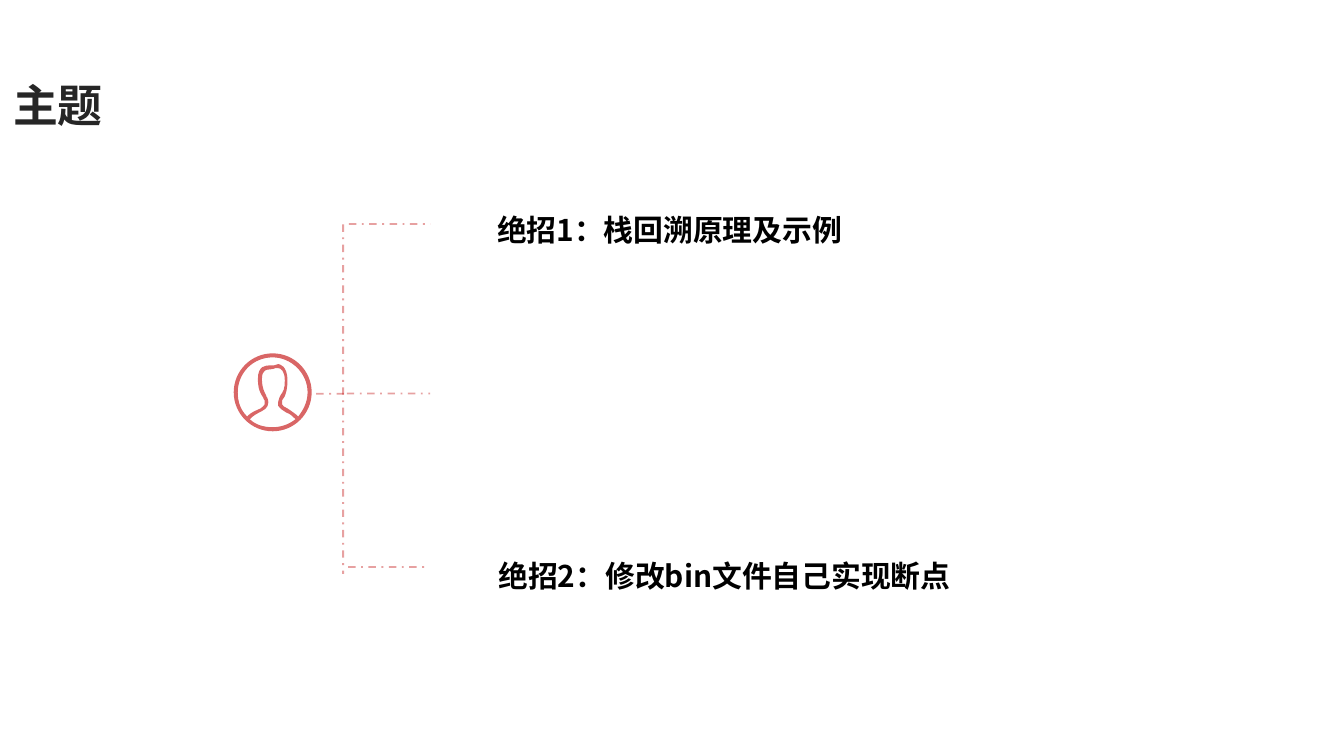
from lxml import etree
from pptx import Presentation
from pptx.dml.color import RGBColor
from pptx.enum.dml import MSO_LINE
from pptx.enum.shapes import MSO_CONNECTOR, MSO_SHAPE
from pptx.enum.text import MSO_AUTO_SIZE
from pptx.oxml.ns import qn
from pptx.util import Pt

STRAIGHT = MSO_CONNECTOR.STRAIGHT
TRIANGLE = MSO_SHAPE.ISOSCELES_TRIANGLE
ROUNDED = MSO_SHAPE.ROUNDED_RECTANGLE
DASH_DOT = MSO_LINE.DASH_DOT
FIT_SHAPE = MSO_AUTO_SIZE.SHAPE_TO_FIT_TEXT
FONT = "Noto Sans CJK SC"
RED, WHITE, BLACK, GREY = "C00000", "FFFFFF", "000000", "262626"

TRUNK_X = 183.8
BRANCHES = [(186.9, 120, 230.6), (185.8, 210.8, 230.5), (186.5, 303.8, 229.9)]

ICON_LEFT, ICON_TOP, ICON_UNIT = 125.2, 189.3, 0.72
FIGURE_EDGE = [
    (48, 47), (46, 45, 43, 43, 40, 41), (38, 40, 36, 39, 36, 38),
    (36, 37, 36, 36, 36, 35), (37, 34, 37, 33, 38, 32), (39, 29, 40, 27, 40, 20),
    (40, 9, 34, 8, 33, 8), (32, 8, 31, 8, 30, 9), (30, 9, 29, 9, 27, 9),
    (24, 9, 18, 9, 18, 19), (18, 27, 20, 30, 22, 33), (22, 33, 22, 34, 23, 35),
    (24, 37, 23, 39, 20, 41), (16, 43, 14, 43, 10, 47), (5, 42, 3, 36, 3, 29),
    (3, 15, 14, 3, 29, 3), (43, 3, 55, 15, 55, 29), (55, 36, 52, 42, 48, 47),
]
FIGURE_INSIDE = [
    (29, 55), (22, 55, 16, 53, 12, 49), (15, 46, 17, 45, 21, 43),
    (25, 41, 27, 38, 25, 33), (25, 33, 24, 32, 24, 31), (23, 29, 21, 26, 21, 19),
    (21, 12, 25, 12, 27, 12), (29, 12, 31, 11, 31, 11), (32, 11, 32, 11, 33, 11),
    (35, 11, 38, 13, 38, 20), (38, 27, 37, 28, 35, 31), (35, 32, 34, 32, 34, 33),
    (33, 35, 33, 37, 33, 39), (34, 41, 36, 42, 39, 44), (42, 45, 44, 47, 46, 49),
    (41, 53, 35, 55, 29, 55),
]
RING = [
    (29, 0), (13, 0, 0, 13, 0, 29), (0, 45, 13, 58, 29, 58),
    (45, 58, 58, 45, 58, 29), (58, 13, 45, 0, 29, 0),
]


def color(value):
    """Turn a hex string into a colour."""
    return RGBColor.from_string(value)


def set_alpha(element, percent):
    """Set the opacity of the solid colour inside an element."""
    tone = next(element.iter(qn("a:srgbClr")))
    etree.SubElement(tone, qn("a:alpha")).set("val", str(percent * 1000))


def paint(shape, value):
    """Give a shape a flat fill without line or shadow."""
    shape.shadow.inherit = False
    shape.line.fill.background()
    shape.fill.solid()
    shape.fill.fore_color.rgb = color(value)


def add_text(page, text, left, top, width, height, size, tone, wrap=True, spacing=None):
    """Add a bold one-line text box."""
    box = page.shapes.add_textbox(Pt(left), Pt(top), Pt(width), Pt(height))
    frame = box.text_frame
    frame.word_wrap = wrap
    frame.auto_size = FIT_SHAPE
    para = frame.paragraphs[0]
    para.line_spacing = spacing
    span = para.add_run()
    span.text = text
    for name, value in {"name": FONT, "size": Pt(size), "bold": True}.items():
        setattr(span.font, name, value)
    span.font.color.rgb = color(tone)
    etree.SubElement(span.font._element, qn("a:ea")).set("typeface", FONT)


def add_card(page, left, top, width, height):
    """Add the white panel behind a topic."""
    card = page.shapes.add_shape(ROUNDED, Pt(left), Pt(top), Pt(width), Pt(height))
    card.adjustments[0] = 0.005
    paint(card, WHITE)


def add_pointer(page, left, top):
    """Add the white callout tip at the left of a topic."""
    pointer = page.shapes.add_shape(TRIANGLE, Pt(left), Pt(top), Pt(16.6), Pt(10.1))
    pointer.adjustments[0] = 0
    pointer.rotation = 311
    pointer._element.spPr.find(qn("a:xfrm")).set("flipV", "1")
    paint(pointer, WHITE)


def add_topic(page, text, left, top):
    """Add the heading of a topic."""
    add_text(page, text, left, top, 287.3, 31.7, 16, BLACK, spacing=1.5)


def add_dashed_line(page, start_x, start_y, end_x, end_y):
    """Add a pale dash-dot connector."""
    connector = page.shapes.add_connector(
        STRAIGHT, Pt(start_x), Pt(start_y), Pt(end_x), Pt(end_y))
    connector.line.color.rgb = color(RED)
    for name, value in {"width": Pt(1), "dash_style": DASH_DOT}.items():
        setattr(connector.line, name, value)
    properties = connector._element.spPr
    set_alpha(properties, 37)
    etree.SubElement(properties, qn("a:effectLst"))


def bend_segments(shape, curves):
    """Turn the straight segments of a freeform into cubic curves."""
    segments = list(shape._element.spPr.iter(qn("a:lnTo")))
    for segment, curve in zip(segments, curves):
        segment.tag = qn("a:cubicBezTo")
        for point in list(segment):
            segment.remove(point)
        for x, y in zip(curve[::2], curve[1::2]):
            point = etree.SubElement(segment, qn("a:pt"))
            point.set("x", str(Pt(x * ICON_UNIT)))
            point.set("y", str(Pt(y * ICON_UNIT)))


def add_person_icon(page):
    """Add the round person icon as one outline with holes."""
    contours = [FIGURE_EDGE, FIGURE_INSIDE, RING]
    scale = Pt(ICON_UNIT)
    builder = page.shapes.build_freeform(*FIGURE_EDGE[0], scale=scale)
    for number, contour in enumerate(contours):
        if number:
            builder.move_to(*contour[0])
        builder.add_line_segments([curve[-2:] for curve in contour[1:]])
    icon = builder.convert_to_shape(Pt(ICON_LEFT) / scale, Pt(ICON_TOP) / scale)
    icon.left, icon.top = Pt(ICON_LEFT), Pt(ICON_TOP)
    outline = next(icon._element.spPr.iter(qn("a:pathLst")))[0]
    for name in ("w", "h"):
        outline.set(name, str(Pt(58 * ICON_UNIT)))
    for point in outline.iter(qn("a:pt")):
        for name in ("x", "y"):
            point.set(name, str(int(point.get(name)) * scale))
    bend_segments(icon, [curve for contour in contours for curve in contour[1:]])
    paint(icon, RED)
    set_alpha(icon._element.spPr, 60)


def main():
    """Build the topic slide."""
    deck = Presentation()
    deck.slide_width, deck.slide_height = Pt(720), Pt(405)
    page = deck.slides.add_slide(deck.slide_layouts[6])

    add_text(page, "主题", 0, 38.2, 62.6, 36, 24, GREY, wrap=False)
    add_pointer(page, 226.1, 113)
    add_topic(page, "绝招1：栈回溯原理及示例", 259.2, 100.1)
    add_card(page, 234, 277.9, 312.5, 49.7)
    add_pointer(page, 226.1, 297.4)
    add_topic(page, "绝招2：修改bin文件自己实现断点", 259.9, 285.8)

    for left, y, right in BRANCHES:
        add_dashed_line(page, left, y, right, y)
    add_person_icon(page)
    add_dashed_line(page, TRUNK_X, 120.2, TRUNK_X, 307.4)
    add_dashed_line(page, 184.3, 211, 167.8, 211)
    deck.save("out.pptx")


if __name__ == "__main__":
    main()
